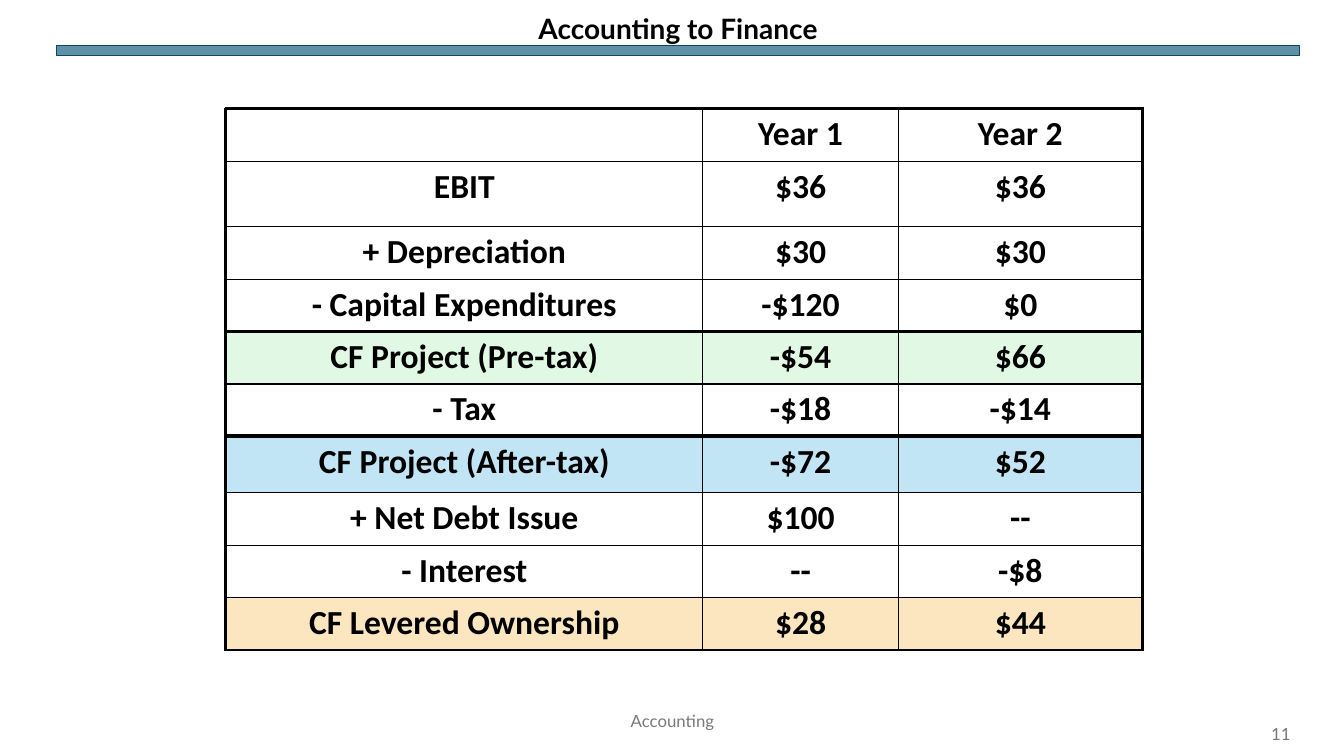
from lxml import etree
from pptx import Presentation
from pptx.dml.color import RGBColor
from pptx.enum.shapes import MSO_SHAPE
from pptx.enum.text import MSO_ANCHOR, PP_ALIGN
from pptx.oxml.ns import qn
from pptx.util import Inches, Pt

CENTER, RIGHT = PP_ALIGN.CENTER, PP_ALIGN.RIGHT
MIDDLE, BOTTOM = MSO_ANCHOR.MIDDLE, MSO_ANCHOR.BOTTOM
RECTANGLE = MSO_SHAPE.RECTANGLE

COLORS = {
    "black": "000000",
    "gray": "797979",
    "bar": "156082",
    "bar line": "104760",
    "pre-tax": "E0F8E4",
    "after-tax": "C1E5F5",
    "levered": "FBE6C0",
}
THIN, OUTER, TOTAL = 1, 2.25, 3  # border widths in points


def write(paragraph, text, color, alignment, **font_format):
    paragraph.text = text
    paragraph.alignment = alignment
    for name, value in font_format.items():
        setattr(paragraph.font, name, value)
    paragraph.font.color.rgb = RGBColor.from_string(COLORS[color])


def add_border(cell, side, width):
    line = etree.SubElement(cell._tc.get_or_add_tcPr(), qn(f"a:ln{side}"), w=str(Pt(width)))
    fill = etree.SubElement(line, qn("a:solidFill"))
    etree.SubElement(fill, qn("a:srgbClr"), val=COLORS["black"])


presentation = Presentation()
presentation.slide_width, presentation.slide_height = Inches(13.33), Inches(7.5)
slide = presentation.slides.add_slide(presentation.slide_layouts[6])

# Bar under the title
margin, content_width = 0.56, 12.33
bar = slide.shapes.add_shape(
    RECTANGLE, Inches(margin), Inches(0.45), Inches(content_width), Inches(0.1))
bar.shadow.inherit = False
bar.fill.solid()
bar.fill.fore_color.rgb = RGBColor.from_string(COLORS["bar"])
bar_color = bar.fill._xPr.find(qn("a:solidFill"))[0]
etree.SubElement(bar_color, qn("a:alpha"), val="69000")
bar.line.color.rgb = RGBColor.from_string(COLORS["bar line"])
bar.line.width = Pt(0)

# Title, footer and slide number
labels = [
    ("Accounting to Finance", (margin, 0.05, content_width, 0.4), 0, BOTTOM, CENTER, "black", 20, True),
    ("Accounting", (4.42, 6.95, 4.5, 0.4), 0.1, MIDDLE, CENTER, "gray", 12, False),
    ("11", (12.23, 7.08, 0.67, 0.4), 0.1, MIDDLE, RIGHT, "gray", 12, False),
]
for text, place, inset, anchor, alignment, color, size, bold in labels:
    box = slide.shapes.add_textbox(*map(Inches, place))
    frame_format = {
        "word_wrap": True, "vertical_anchor": anchor,
        "margin_left": Inches(inset), "margin_right": Inches(inset),
        "margin_top": Inches(inset / 2), "margin_bottom": Inches(inset / 2),
    }
    for name, value in frame_format.items():
        setattr(box.text_frame, name, value)
    write(box.text_frame.paragraphs[0], text, color, alignment,
          name="Lato", size=Pt(size), bold=bold)
    if bold:
        box.text_frame.paragraphs[0].line_spacing = 0.9

# Cash flow table: label, year 1, year 2, fill
cash_flows = [
    ("", "Year 1", "Year 2", None),
    ("EBIT", "$36", "$36", None),
    ("+ Depreciation", "$30", "$30", None),
    ("- Capital Expenditures", "-$120", "$0", None),
    ("CF Project (Pre-tax)", "-$54", "$66", "pre-tax"),
    ("- Tax", "-$18", "-$14", None),
    ("CF Project (After-tax)", "-$72", "$52", "after-tax"),
    ("+ Net Debt Issue", "$100", "--", None),
    ("- Interest", "--", "-$8", None),
    ("CF Levered Ownership", "$28", "$44", "levered"),
]
column_widths = [4.73, 1.94, 2.42]
row_heights = [0.52] * len(cash_flows)
row_heights[1], row_heights[6] = 0.65, 0.56

# Rules between rows: heavy at the edges and above the project totals
row_rules = [THIN] * (len(cash_flows) + 1)
row_rules[0] = row_rules[-1] = OUTER
row_rules[4] = row_rules[6] = TOTAL
column_rules = [OUTER, THIN, THIN, OUTER]

table = slide.shapes.add_table(
    len(cash_flows), len(column_widths), Inches(2.24), Inches(1.08),
    Inches(sum(column_widths)), Inches(sum(row_heights))).table
table.first_row = table.horz_banding = False
for column, width in zip(table.columns, column_widths):
    column.width = Inches(width)

for row, (*texts, fill) in enumerate(cash_flows):
    table.rows[row].height = Inches(row_heights[row])
    for column, text in enumerate(texts):
        cell = table.cell(row, column)
        add_border(cell, "L", column_rules[column])
        add_border(cell, "R", column_rules[column + 1])
        add_border(cell, "T", row_rules[row])
        add_border(cell, "B", row_rules[row + 1])
        if fill:
            cell.fill.solid()
            cell.fill.fore_color.rgb = RGBColor.from_string(COLORS[fill])
        else:
            cell.fill.background()
        if text:
            write(cell.text_frame.paragraphs[0], text, "black", CENTER,
                  name="Calibri", size=Pt(24), bold=True)

presentation.save("out.pptx")
